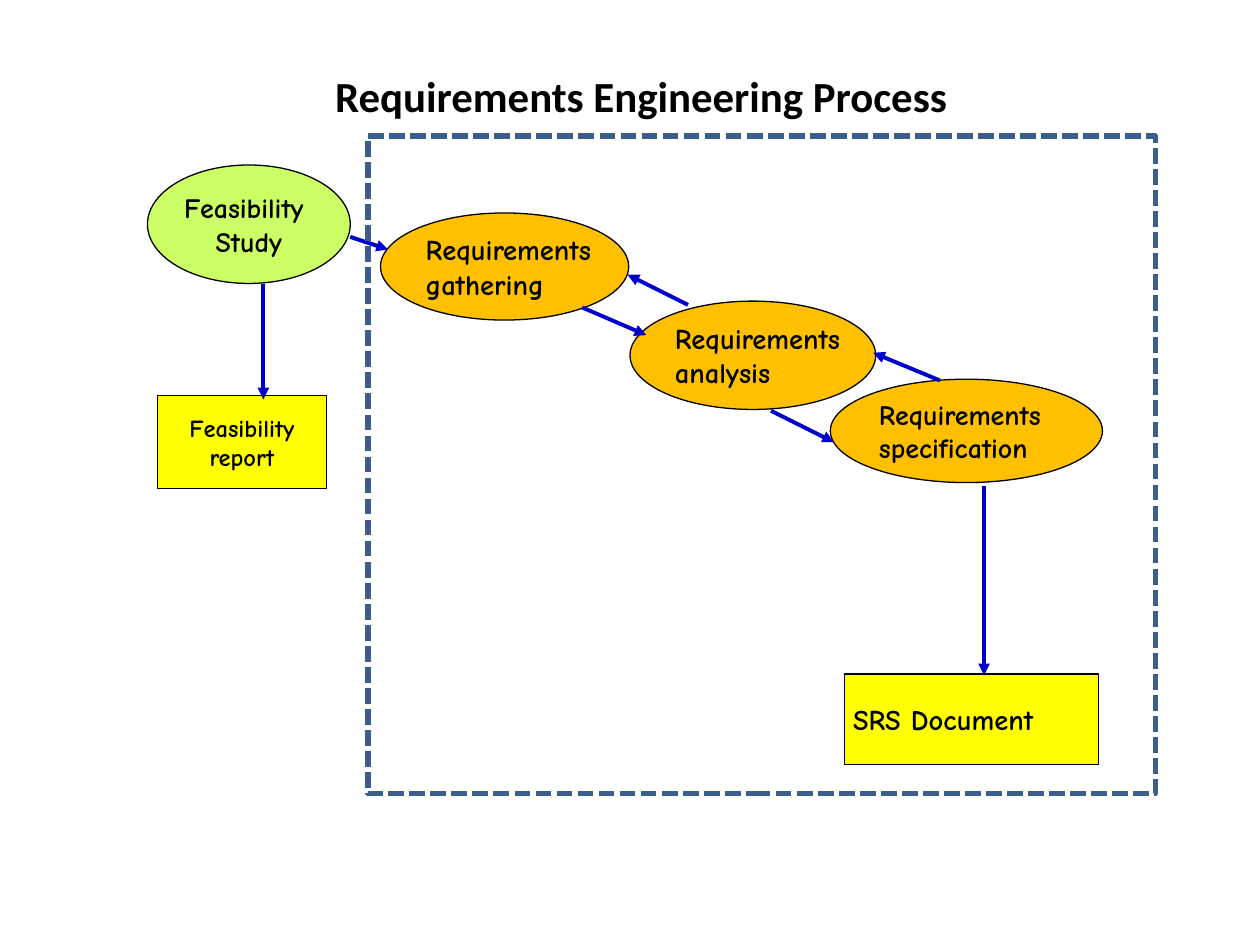
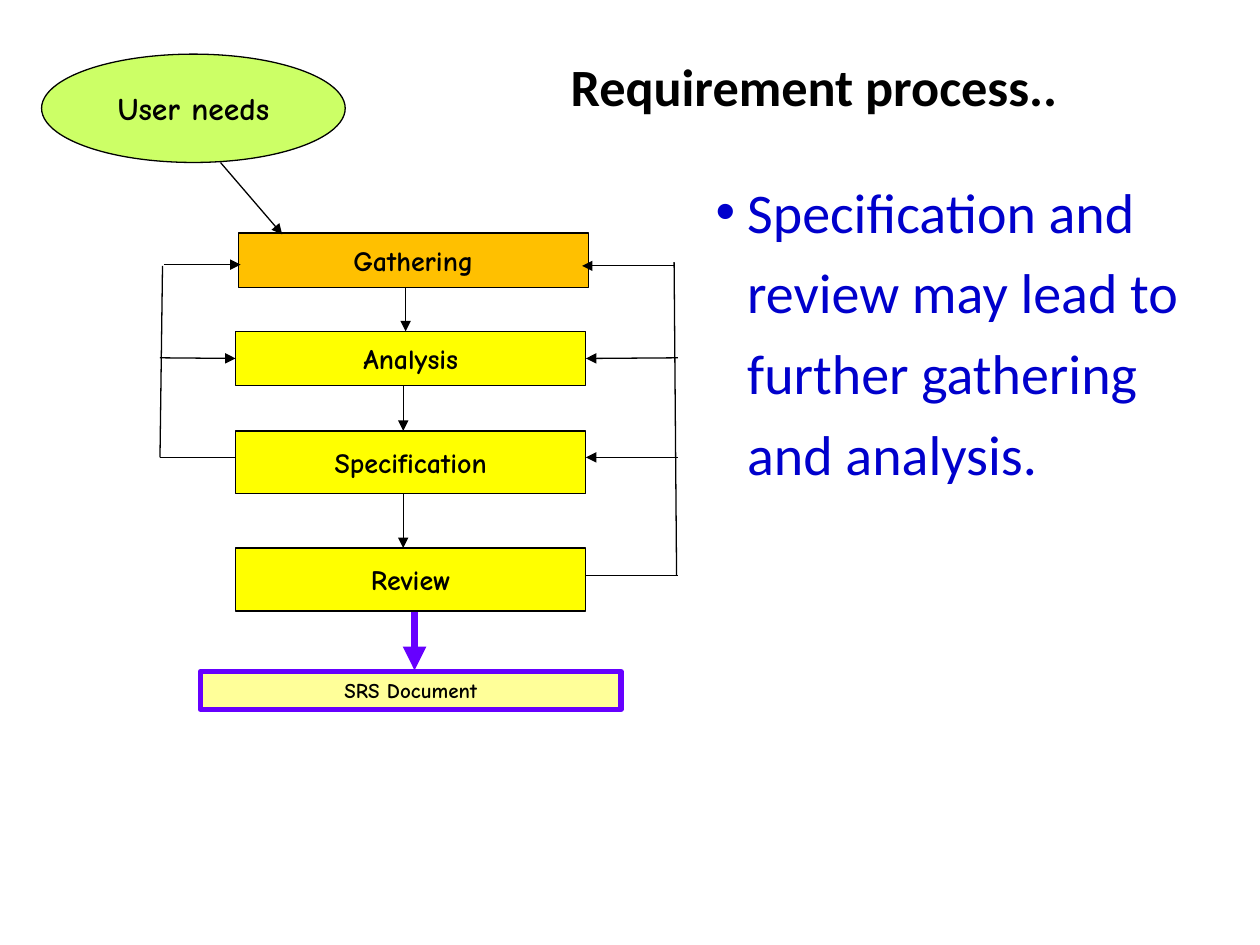
from dataclasses import dataclass

from lxml.etree import SubElement
from pptx import Presentation
from pptx.dml.color import RGBColor
from pptx.enum.dml import MSO_LINE
from pptx.enum.shapes import MSO_CONNECTOR, MSO_SHAPE
from pptx.enum.text import MSO_ANCHOR, MSO_AUTO_SIZE, PP_ALIGN
from pptx.oxml.ns import qn
from pptx.util import Inches, Pt


@dataclass(frozen=True)
class Theme:
    black: str = "000000"
    blue: str = "0000CC"
    green: str = "CCFF66"
    orange: str = "FFC000"
    yellow: str = "FFFF00"
    cream: str = "FFFF99"
    violet: str = "6600FF"
    frame: str = "3A5F8C"
    heading: str = "Calibri"
    label: str = "Comic Neue"
    body_size: float = 32
    thin: float = 0.75
    medium: float = 2.25
    thick: float = 3
    heavy: float = 4.5


T = Theme()
LEFT, CENTER = PP_ALIGN.LEFT, PP_ALIGN.CENTER
OVAL, RECT = MSO_SHAPE.OVAL, MSO_SHAPE.RECTANGLE
INSETS = dict(margin_left=Inches(0.07), margin_right=Inches(0.07),
              margin_top=Inches(0.04), margin_bottom=Inches(0.04))


def write(sp, lines, font, size, align, color=T.black, bold=True,
          anchor=MSO_ANCHOR.MIDDLE, wrap=False):
    tf = sp.text_frame
    frame = dict(INSETS, auto_size=MSO_AUTO_SIZE.NONE, word_wrap=wrap,
                 vertical_anchor=anchor)
    for name, value in frame.items():
        setattr(tf, name, value)
    for i, line in enumerate(lines):
        p = tf.paragraphs[0] if i == 0 else tf.add_paragraph()
        p.alignment = align
        r = p.add_run()
        r.text = line
        for name, value in dict(name=font, size=Pt(size), bold=bold).items():
            setattr(r.font, name, value)
        r.font.color.rgb = RGBColor.from_string(color)


def connect(s, x1, y1, x2, y2, color=T.black, width=T.thin, arrow=True):
    cn = s.shapes.add_connector(MSO_CONNECTOR.STRAIGHT, Inches(x1), Inches(y1),
                                Inches(x2), Inches(y2))
    cn.line.color.rgb = RGBColor.from_string(color)
    cn.line.width = Pt(width)
    if arrow:
        SubElement(cn.line._get_or_add_ln(), qn("a:tailEnd"), type="triangle")
    SubElement(cn._element.spPr, qn("a:effectLst"))
    return cn


prs = Presentation()
prs.slide_width, prs.slide_height = Inches(10), Inches(7.5)

# Titles: text, box, size, alignment, anchor
titles = [
    ("Requirements Engineering Process", (2.59, 0.53, 6.18, 0.46), 24.5,
     LEFT, MSO_ANCHOR.MIDDLE),
    ("Requirement process..", (3.26, 0.39, 6.4, 1.25), 29.9,
     CENTER, MSO_ANCHOR.TOP),
]

# Nodes: preset, box, fill, lines, size, alignment
nodes = [
    [
        (OVAL, (1.17, 1.31, 1.61, 0.94), T.green, ["Feasibility ", "Study"], 16, CENTER),
        (OVAL, (3.02, 1.69, 1.97, 0.85), T.orange, ["Requirements", "gathering"], 16.3, LEFT),
        (OVAL, (5, 2.39, 1.95, 0.86), T.orange, ["Requirements", "analysis"], 16.3, LEFT),
        (OVAL, (6.59, 3.01, 2.16, 0.82), T.orange, ["Requirements", "specification"], 16, LEFT),
        (RECT, (1.25, 3.14, 1.34, 0.74), T.yellow, ["Feasibility", "report"], 14, CENTER),
        (RECT, (6.7, 5.35, 2.02, 0.72), T.yellow, ["SRS Document"], 16.3, LEFT),
    ],
    [
        (OVAL, (0.33, 0.43, 2.41, 0.86), T.green, ["User needs"], 18, CENTER),
        (RECT, (1.89, 1.85, 2.78, 0.43), T.orange, ["Gathering"], 16, CENTER),
        (RECT, (1.87, 2.63, 2.78, 0.43), T.yellow, ["Analysis"], 16, CENTER),
        (RECT, (1.87, 3.42, 2.78, 0.5), T.yellow, ["Specification"], 16, CENTER),
        (RECT, (1.87, 4.35, 2.78, 0.5), T.yellow, ["Review"], 16, CENTER),
        (RECT, (1.59, 5.33, 3.34, 0.3), T.cream, ["SRS Document"], 12, CENTER),
    ],
]

# Titles and nodes of both slides
slides, shapes = [], {}
for (title, box, size, align, anchor), slide_nodes in zip(titles, nodes):
    s = prs.slides.add_slide(prs.slide_layouts[5])
    slides.append(s)
    sp = s.shapes.title
    sp.left, sp.top, sp.width, sp.height = map(Inches, box)
    write(sp, [title], T.heading, size, align, anchor=anchor, wrap=True)
    for preset, box, fill, lines, size, align in slide_nodes:
        sp = s.shapes.add_shape(preset, *map(Inches, box))
        sp.shadow.inherit = False
        sp.fill.solid()
        sp.fill.fore_color.rgb = RGBColor.from_string(fill)
        sp.line.color.rgb = RGBColor.from_string(T.black)
        sp.line.width = Pt(T.thin)
        write(sp, lines, T.label, size, align)
        shapes[lines[0]] = sp
overview, detail = slides

# Slide 1: flow arrows
for ends in [
    (2.78, 1.88, 3.08, 1.98), (4.62, 2.44, 5.13, 2.66),
    (5.46, 2.42, 4.98, 2.18), (6.12, 3.26, 6.62, 3.51),
    (7.46, 3.02, 6.93, 2.8), (2.09, 2.25, 2.09, 3.17),
    (7.81, 3.86, 7.81, 5.36),
]:
    connect(overview, *ends, T.blue, T.medium)

# Slide 1: dashed frame around the requirements phase
sp = overview.shapes.add_shape(RECT, *map(Inches, (2.92, 1.08, 6.25, 5.22)))
sp.shadow.inherit = False
sp.fill.background()
sp.line.color.rgb = RGBColor.from_string(T.frame)
sp.line.width = Pt(T.thick)
sp.line.dash_style = MSO_LINE.SQUARE_DOT

# Slide 2: document outline
sp = shapes["SRS Document"]
sp.line.color.rgb = RGBColor.from_string(T.violet)
sp.line.width = Pt(T.thick)

# Slide 2: steps downwards and arrows back to Gathering and Specification
for ends in [
    (1.75, 1.29, 2.24, 1.86), (3.22, 2.28, 3.22, 2.63),
    (3.2, 3.06, 3.2, 3.42), (3.2, 3.92, 3.2, 4.35),
    (1.3, 2.1, 1.91, 2.1), (5.35, 2.11, 4.62, 2.11),
    (5.38, 3.63, 4.65, 3.63),
]:
    connect(detail, *ends)
connect(detail, 3.29, 4.86, 3.29, 5.32, T.violet, T.heavy)

# Slide 2: arrows back to the sides of Analysis
for x, edge, side in [(1.27, 1.87, 1), (5.38, 4.65, 3)]:
    cn = connect(detail, x, 2.84, edge, 2.84)
    cn.end_connect(shapes["Analysis"], side)

# Slide 2: plain parts of the feedback loops
for ends in [
    (1.87, 3.63, 1.27, 3.63), (1.27, 3.63, 1.29, 2.11),
    (4.65, 4.57, 5.38, 4.57), (5.37, 4.57, 5.35, 2.08),
]:
    connect(detail, *ends, arrow=False)

# Slide 2: bullet text
sp = detail.shapes.add_textbox(*map(Inches, (5.55, 1.26, 4.29, 4.74)))
write(sp, ["Specification and review may lead to further gathering and analysis."],
      T.heading, T.body_size, LEFT, T.blue, False, MSO_ANCHOR.TOP, True)
p = sp.text_frame.paragraphs[0]
pPr = p._p.get_or_add_pPr()
pPr.set("marL", str(Inches(0.31)))
pPr.set("indent", str(Inches(-0.25)))
SubElement(pPr, qn("a:buFont"), typeface="Arial")
SubElement(pPr, qn("a:buChar"), char="•")
p.line_spacing = 1.2

prs.save("out.pptx")
